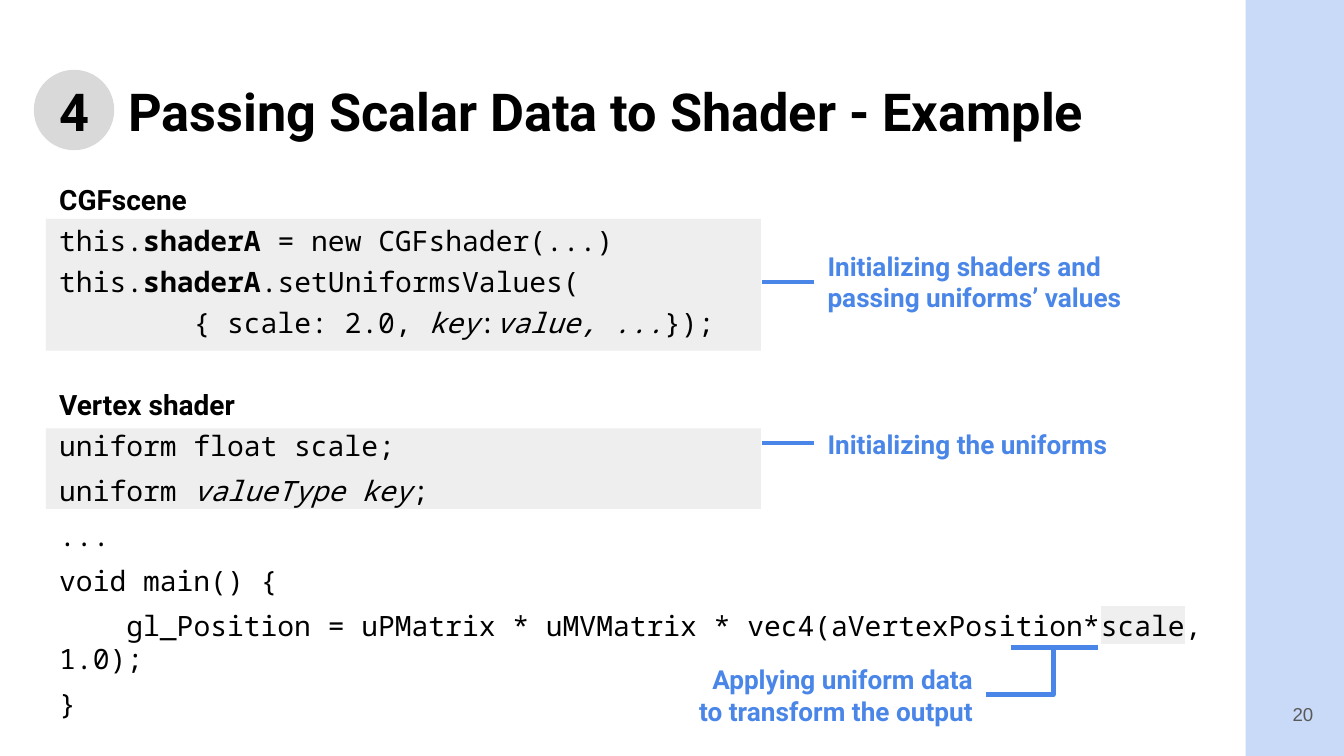
"""Build the slide on passing scalar data to a shader."""
import pptx
import pptx.util
import pptx.dml.color
import pptx.enum.shapes
import pptx.enum.text
import lxml.etree

Cm = pptx.util.Cm
Pt = pptx.util.Pt
Shape = pptx.enum.shapes.MSO_SHAPE
Align = pptx.enum.text.PP_ALIGN
Anchor = pptx.enum.text.MSO_ANCHOR
NS = "{http://schemas.openxmlformats.org/drawingml/2006/main}"
BLUE = "4A86E8"
MONO = "Noto Sans Mono"


def hue(code):
    return pptx.dml.color.RGBColor.from_string(code)


def write(para, text, size=15, font="Roboto", color="000000", bold=False, italic=False, mark=None):
    run = para.add_run()
    run.text = text
    run.font.size = Pt(size)
    run.font.bold = bold
    run.font.italic = italic
    run.font.color.rgb = hue(color)
    run.font.name = font
    if mark:
        glow = lxml.etree.Element(NS + "highlight")
        lxml.etree.SubElement(glow, NS + "srgbClr", val=mark)
        run.font.fill._xPr.find(NS + "solidFill").addnext(glow)


deck = pptx.Presentation()
deck.slide_width, deck.slide_height = Cm(25.4), Cm(14.29)
slide = deck.slides.add_slide(deck.slide_layouts[5])
shapes = slide.shapes

for kind, left, top, width, height, fill in [
    (Shape.RECTANGLE, 23.54, -0.05, 1.86, 14.34, "C9DAF8"),
    (Shape.RECTANGLE, 0.87, 8.1, 13.51, 1.52, "EEEEEE"),
    (Shape.RECTANGLE, 0.87, 4.14, 13.51, 2.49, "EEEEEE"),
    (Shape.OVAL, 0.64, 1.32, 1.52, 1.52, "D9D9D9"),
]:
    shape = shapes.add_shape(kind, Cm(left), Cm(top), Cm(width), Cm(height))
    shape.shadow.inherit = False
    shape.fill.solid()
    shape.fill.fore_color.rgb = hue(fill)
    shape.line.fill.background()

title = shapes.title
shapes._spTree.append(title._element)
title.left, title.top, title.width, title.height = Cm(0.87), Cm(1.24), Cm(23.67), Cm(1.6)
body = shapes.add_textbox(Cm(0.87), Cm(3.2), Cm(22.66), Cm(9.75))
for box in (title, body):
    frame = box.text_frame
    frame.word_wrap = True
    frame.auto_size = pptx.enum.text.MSO_AUTO_SIZE.NONE
    frame.vertical_anchor = Anchor.TOP
    frame.margin_left = frame.margin_right = Cm(0.25)
    frame.margin_top = frame.margin_bottom = Cm(0.25)

head = title.text_frame.paragraphs[0]
head.alignment = Align.LEFT
write(head, "4\tPassing Scalar Data to Shader - Example", size=28, bold=True)
tabs = lxml.etree.SubElement(head._p.get_or_add_pPr(), NS + "tabLst")
lxml.etree.SubElement(tabs, NS + "tab", pos=str(Cm(1.3)), algn="l")

bold = {"font": "Roboto", "bold": True}
name = {"bold": True}
slant = {"italic": True}
lines = [
    (0, 0, [("CGFscene", bold)]),
    (4, 0, [("this.", {}), ("shaderA", name), (" = new CGFshader(...)", {})]),
    (4, 0, [("this.", {}), ("shaderA", name), (".setUniformsValues(", {})]),
    (4, 2.54, [("{ scale: 2.0, ", {}), ("key", slant), (":", {}), ("value, ...", slant), ("});", {})]),
    (26, 0, [("Vertex shader", bold)]),
    (4, 0, [("uniform float scale;", {})]),
    (6, 0, [("uniform ", {}), ("valueType key", slant), (";", {})]),
    (6, 0, [("...", {})]),
    (6, 0, [("void main() {", {})]),
    (6, 1.27, [("gl_Position = uPMatrix * uMVMatrix * vec4(aVertexPosition*", {}),
               ("scale", {"mark": "EFEFEF"}), (", 1.0);", {})]),
    (6, 0, [("}", {})]),
]
for row, (gap, indent, runs) in enumerate(lines):
    para = body.text_frame.add_paragraph() if row else body.text_frame.paragraphs[0]
    para.space_before = Pt(gap)
    para.line_spacing = 1.0
    para._p.get_or_add_pPr().set("indent", str(Cm(indent)))
    for text, style in runs:
        write(para, text, **{"font": MONO, **style})

note = {"size": 14, "color": BLUE, "bold": True}
for left, top, width, height, align, text, style in [
    (23.55, 12.95, 1.52, 1.09, Align.RIGHT, "20", {"size": 10, "font": "Arial", "color": "595959"}),
    (15.39, 7.92, 8.23, 0.94, Align.LEFT, "Initializing the uniforms", note),
    (15.39, 4.7, 7.52, 1.24, Align.LEFT, "Initializing shaders and passing uniforms’ values", note),
    (12.7, 12.67, 5.94, 0.94, Align.RIGHT, "Applying uniform data to transform the output", note),
]:
    box = shapes.add_textbox(Cm(left), Cm(top), Cm(width), Cm(height))
    box.text_frame.word_wrap = True
    box.text_frame.vertical_anchor = Anchor.MIDDLE
    para = box.text_frame.paragraphs[0]
    para.alignment = align
    write(para, text, **style)

links = []
for start, end, level in [(15.39, 14.4, 8.38), (15.39, 14.4, 5.33), (20.75, 19.1, 12.24)]:
    link = shapes.add_connector(pptx.enum.shapes.MSO_CONNECTOR.STRAIGHT, Cm(start), Cm(level), Cm(end), Cm(level))
    lxml.etree.SubElement(link._element.spPr, NS + "effectLst")
    links.append(link)

elbow = shapes.build_freeform(Cm(19.91), Cm(12.24))
elbow.add_line_segments([(Cm(19.91), Cm(13.13)), (Cm(18.64), Cm(13.13))], close=False)
hook = elbow.convert_to_shape()
hook.shadow.inherit = False
hook.fill.background()
for link in links + [hook]:
    link.line.color.rgb = hue(BLUE)
    link.line.width = Pt(2.25)

deck.save("out.pptx")
